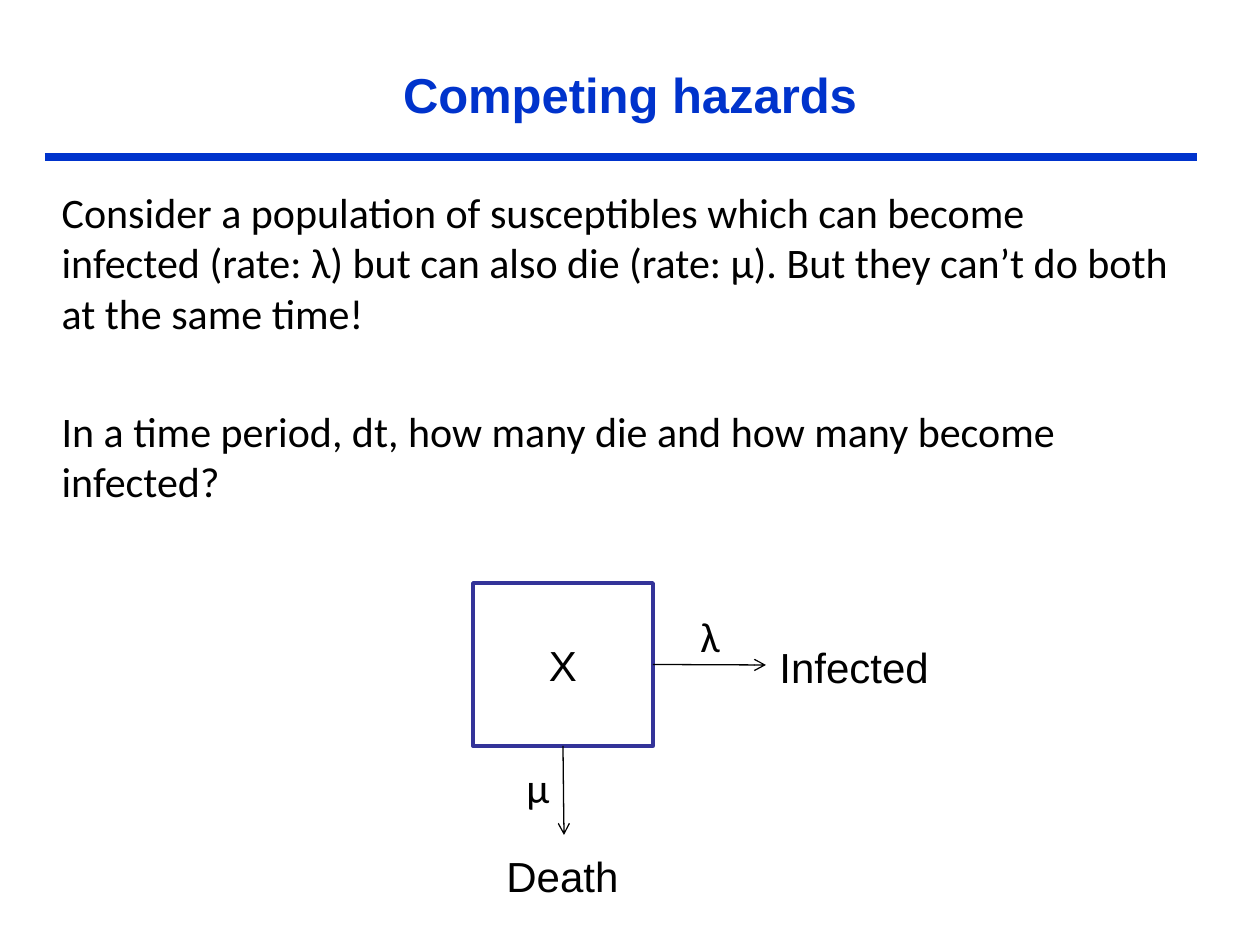
from dataclasses import dataclass

from lxml.etree import SubElement
from pptx import Presentation
from pptx.dml.color import RGBColor
from pptx.enum.shapes import MSO_CONNECTOR, MSO_SHAPE
from pptx.enum.text import MSO_ANCHOR, MSO_AUTO_SIZE, PP_ALIGN
from pptx.oxml.ns import qn
from pptx.util import Inches, Pt

PX_PER_INCH = 126
COLORS = {
    "heading": "0033CC",
    "ink": "000000",
    "box_fill": "FFFFFF",
    "box_line": "333399",
}


@dataclass(frozen=True)
class Label:
    text: str
    left: int
    top: int
    width: int
    font: str


@dataclass(frozen=True)
class Transition:
    start_site: int
    start: tuple[int, int]
    end: tuple[int, int]


def px(length: int) -> int:
    return int(Inches(length / PX_PER_INCH))


def color(name: str) -> RGBColor:
    return RGBColor.from_string(COLORS[name])


def place(shape, left: int, top: int, width: int, height: int) -> None:
    shape.left, shape.top = px(left), px(top)
    shape.width, shape.height = px(width), px(height)


def format_runs(paragraph, font: str, size: int = 24, ink: str = "ink", bold: bool = False) -> None:
    for run in paragraph.runs:
        run.font.name = font
        run.font.size = Pt(size)
        run.font.bold = bold
        run.font.color.rgb = color(ink)


def draw_line(slide, start: tuple[int, int], end: tuple[int, int], ink: str, weight: float):
    line = slide.shapes.add_connector(MSO_CONNECTOR.STRAIGHT, *map(px, start + end))
    line.line.color.rgb = color(ink)
    line.line.width = Pt(weight)
    SubElement(line._element.spPr, qn("a:effectLst"))
    return line


def draw_transition(slide, compartment, transition: Transition) -> None:
    arrow = draw_line(slide, transition.start, transition.end, "ink", 0.75)
    arrow.begin_connect(compartment, transition.start_site)
    SubElement(arrow.line._get_or_add_ln(), qn("a:tailEnd"), type="arrow")


def draw_label(slide, label: Label) -> None:
    box = slide.shapes.add_textbox(px(label.left), px(label.top), px(label.width), px(63))
    frame = box.text_frame
    frame.text = label.text
    frame.word_wrap = False
    frame.auto_size = MSO_AUTO_SIZE.SHAPE_TO_FIT_TEXT
    format_runs(frame.paragraphs[0], label.font)


def fill_title(slide) -> None:
    title = slide.shapes.title
    place(title, 63, 38, 1134, 112)
    frame = title.text_frame
    frame.text = "Competing hazards"
    frame.auto_size = MSO_AUTO_SIZE.NONE
    frame.vertical_anchor = MSO_ANCHOR.MIDDLE
    frame.paragraphs[0].alignment = PP_ALIGN.CENTER
    format_runs(frame.paragraphs[0], "Arial", 28, "heading", True)


def fill_body(slide) -> None:
    body = slide.placeholders[1]
    place(body, 49, 180, 1134, 363)
    frame = body.text_frame
    frame.text = "\n".join([
        "Consider a population of susceptibles which can become infected (rate: λ) "
        "but can also die (rate: μ). But they can’t do both at the same time!",
        "In a time period, dt, how many die and how many become infected?",
    ])
    frame.auto_size = MSO_AUTO_SIZE.NONE
    frame.vertical_anchor = MSO_ANCHOR.TOP
    for paragraph, gap in zip(frame.paragraphs, (4.8, 38.9)):
        paragraph.space_before = Pt(gap)
        properties = paragraph._p.get_or_add_pPr()
        properties.set("marL", "0")
        properties.set("indent", "0")
        SubElement(properties, qn("a:buNone"))
        format_runs(paragraph, "Calibri")


def draw_compartment(slide):
    compartment = slide.shapes.add_shape(
        MSO_SHAPE.RECTANGLE, px(473), px(583), px(180), px(163))
    compartment.shadow.inherit = False
    compartment.fill.solid()
    compartment.fill.fore_color.rgb = color("box_fill")
    compartment.line.color.rgb = color("box_line")
    compartment.line.width = Pt(2)
    frame = compartment.text_frame
    frame.text = "X"
    frame.vertical_anchor = MSO_ANCHOR.MIDDLE
    frame.paragraphs[0].alignment = PP_ALIGN.CENTER
    format_runs(frame.paragraphs[0], "Arial")
    return compartment


TRANSITIONS = [
    Transition(3, (653, 665), (766, 665)),
    Transition(2, (563, 746), (564, 835)),
]
LABELS = [
    Label("λ", 688, 604, 45, "Calibri"),
    Label("Infected", 767, 635, 176, "Arial"),
    Label("μ", 514, 755, 58, "Calibri"),
    Label("Death", 494, 844, 139, "Arial"),
]


def main() -> None:
    presentation = Presentation()
    presentation.slide_width = px(1260)
    presentation.slide_height = px(945)
    slide = presentation.slides.add_slide(presentation.slide_layouts[1])
    draw_line(slide, (45, 157), (1197, 157), "heading", 4.5)
    fill_title(slide)
    fill_body(slide)
    compartment = draw_compartment(slide)
    for transition in TRANSITIONS:
        draw_transition(slide, compartment, transition)
    for label in LABELS:
        draw_label(slide, label)
    presentation.save("out.pptx")


if __name__ == "__main__":
    main()
